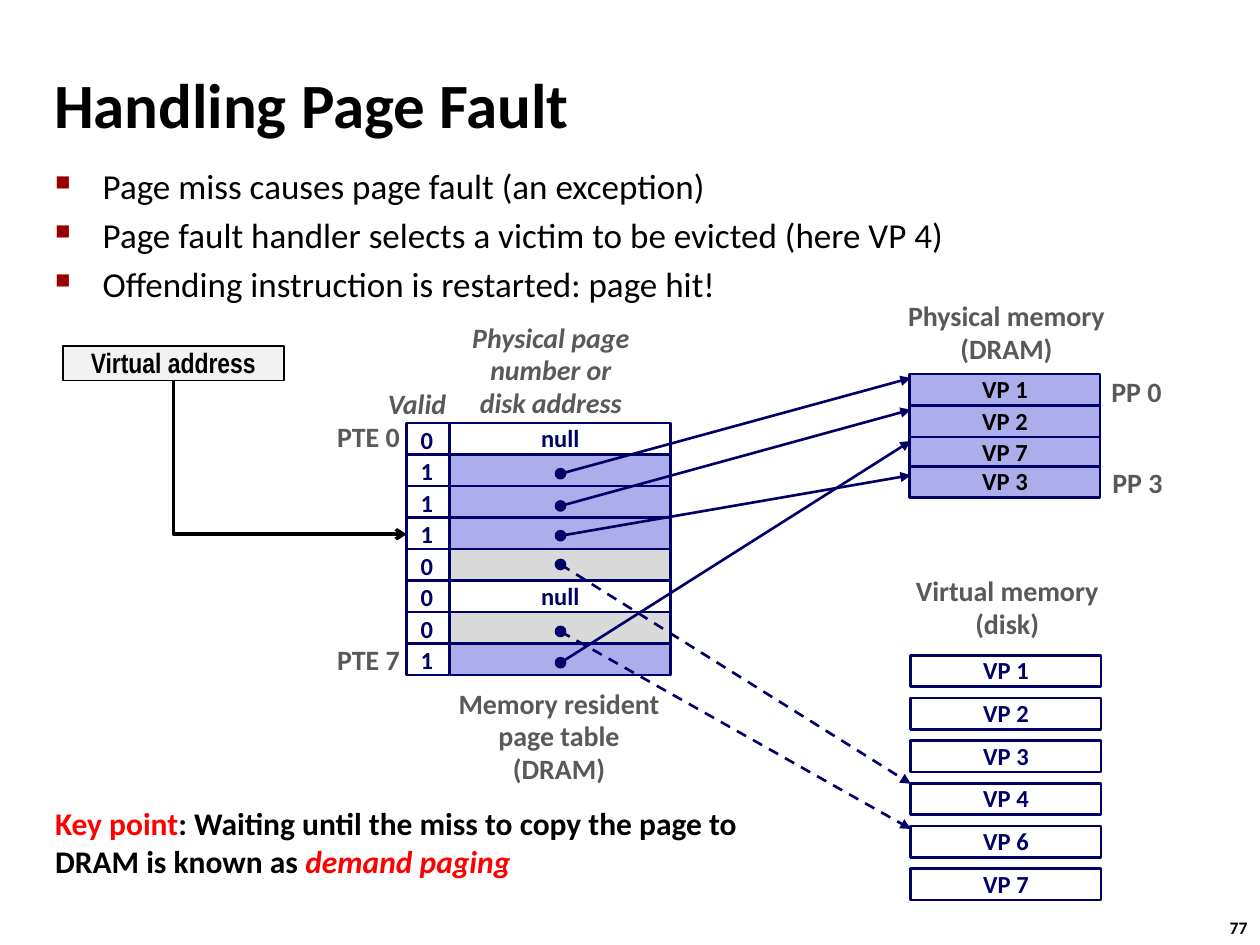
from dataclasses import dataclass, field
from typing import Optional

from lxml import etree
from pptx import Presentation
from pptx import util as u
from pptx.dml.color import RGBColor
from pptx.enum import dml, shapes, text
from pptx.oxml import ns

BLACK = RGBColor(0x00, 0x00, 0x00)
WHITE = RGBColor(0xFF, 0xFF, 0xFF)
NAVY = RGBColor(0x00, 0x00, 0x66)
LILAC = RGBColor(0xAD, 0xAD, 0xEB)
SILVER = RGBColor(0xD9, 0xD9, 0xD9)
PALE = RGBColor(0xF2, 0xF2, 0xF2)
GRAY = RGBColor(0x59, 0x59, 0x59)
RED = RGBColor(0xFF, 0x00, 0x00)
BULLET_RED = "990000"

LEFT, CENTER, RIGHT = text.PP_ALIGN.LEFT, text.PP_ALIGN.CENTER, text.PP_ALIGN.RIGHT
TOP, MIDDLE = text.MSO_ANCHOR.TOP, text.MSO_ANCHOR.MIDDLE
RECTANGLE, OVAL = shapes.MSO_SHAPE.RECTANGLE, shapes.MSO_SHAPE.OVAL

CELL_HEIGHT = 0.635
TABLE_TOP, VALID_LEFT, VALID_WIDTH, ENTRY_LEFT, ENTRY_WIDTH = 8.53, 8.2, 0.85, 9.07, 4.45
PAGE_WIDTH, DISK_LEFT, DISK_TOP, DISK_PITCH = 3.84, 18.36, 13.21, 0.86
DOT_X, DOT_SIZE = 11.3, 0.2


@dataclass(frozen=True)
class Box:
    """Left, top, width and height in centimetres."""
    left: float
    top: float
    width: float
    height: float

    def lengths(self) -> list:
        return [u.Cm(v) for v in (self.left, self.top, self.width, self.height)]


@dataclass(frozen=True)
class Style:
    size: float = 16
    color: RGBColor = GRAY
    bold: bool = True
    italic: bool = False
    name: str = "Calibri"


@dataclass(frozen=True)
class Label:
    """Lines of text, each a list of (words, style) runs."""
    box: Box
    lines: list
    align: text.PP_ALIGN = CENTER
    anchor: text.MSO_ANCHOR = TOP
    frame: dict = field(default_factory=dict)
    paragraph: dict = field(default_factory=dict)


@dataclass(frozen=True)
class Entry:
    """A page table entry; its pointer runs from dot_y to target_y."""
    valid: int
    fill: RGBColor
    dot_y: Optional[float] = None
    target_y: Optional[float] = None


GROW = {"auto_size": text.MSO_AUTO_SIZE.SHAPE_TO_FIT_TEXT}
WRAP = {"word_wrap": True}
TIGHT = {"line_spacing": 0.98}
CAPTION, SLANTED = Style(), Style(italic=True)
CELL, FRAME = Style(14, NAVY), Style(14, BLACK)
KEY = Style(18, RED)

ENTRIES = [
    Entry(0, WHITE), Entry(1, LILAC, 9.55, 7.62), Entry(1, LILAC, 10.2, 8.26),
    Entry(1, LILAC, 10.8, 9.58), Entry(0, SILVER, 11.38, 15.8), Entry(0, WHITE),
    Entry(0, SILVER, 12.73, 16.71), Entry(1, LILAC, 13.36, 8.89),
]
PHYSICAL_PAGES = [("VP 1", 7.54), ("VP 2", 8.18), ("VP 7", 8.81), ("VP 3", 9.4)]
DISK_PAGES = ["VP 1", "VP 2", "VP 3", "VP 4", "VP 6", "VP 7"]


def caption(box: Box, *lines: str, style: Style = CAPTION, **options) -> Label:
    return Label(box, [[(line, style)] for line in lines],
                 frame=GROW, paragraph=TIGHT, **options)


LABELS = [
    Label(Box(24.54, 18.36, 0.94, 0.69), [[("77", Style(10, BLACK))]], LEFT, frame=GROW),
    Label(Box(0.84, 0.99, 23.01, 2.18), [[("Handling Page Fault", Style(36, BLACK))]],
          LEFT, MIDDLE, WRAP),
    caption(Box(8.92, 13.74, 4.7, 2.26), "Memory resident", "page table", "(DRAM)"),
    caption(Box(18.03, 5.92, 4.52, 1.6), "Physical memory", "(DRAM)"),
    caption(Box(18.16, 11.48, 4.29, 1.6), "Virtual memory", "(disk)"),
    caption(Box(7.57, 7.7, 1.9, 0.94), "Valid", style=SLANTED, align=LEFT),
    caption(Box(9.25, 6.35, 3.71, 2.26), "Physical page", "number or", "disk address",
            style=SLANTED, anchor=MIDDLE),
    caption(Box(6.53, 8.36, 1.78, 0.94), "PTE 0", align=RIGHT, anchor=MIDDLE),
    caption(Box(6.53, 12.85, 1.78, 0.94), "PTE 7", align=RIGHT, anchor=MIDDLE),
    caption(Box(22.15, 7.44, 1.52, 0.94), "PP 0", anchor=MIDDLE),
    caption(Box(22.17, 9.27, 1.52, 0.94), "PP 3", anchor=MIDDLE),
    Label(Box(0.86, 16.08, 16.08, 1.8), [[
        ("Key point", KEY),
        (": Waiting until the miss to copy the page to DRAM is known as ", Style(18, BLACK)),
        ("demand paging", Style(18, RED, italic=True))]], LEFT, frame=GROW | WRAP),
]
BULLETS = Label(Box(0.86, 3.2, 23.09, 2.11), [[(line, Style(20, BLACK, bold=False))] for line in (
    "Page miss causes page fault (an exception)",
    "Page fault handler selects a victim to be evicted (here VP 4)",
    "Offending instruction is restarted: page hit!")], LEFT, frame=WRAP)


def apply(target, values: dict) -> None:
    for name, value in values.items():
        setattr(target, name, value)


def write(shape, label: Label) -> None:
    frame = shape.text_frame
    apply(frame, {"word_wrap": False, "vertical_anchor": label.anchor} | label.frame)
    for index, line in enumerate(label.lines):
        paragraph = frame.add_paragraph() if index else frame.paragraphs[0]
        apply(paragraph, {"alignment": label.align} | label.paragraph)
        for words, style in line:
            run = paragraph.add_run()
            run.text = words
            apply(run.font, {"name": style.name, "size": u.Pt(style.size),
                             "bold": style.bold, "italic": style.italic})
            run.font.color.rgb = style.color


def add_label(slide, label: Label):
    shape = slide.shapes.add_textbox(*label.box.lengths())
    write(shape, label)
    return shape


def add_bullets(slide, label: Label) -> None:
    for index, paragraph in enumerate(add_label(slide, label).text_frame.paragraphs):
        properties = paragraph._p.get_or_add_pPr()
        properties.set("marL", str(u.Cm(0.96)))
        properties.set("indent", str(-u.Cm(0.96)))
        color = etree.SubElement(properties, ns.qn("a:buClr"))
        etree.SubElement(color, ns.qn("a:srgbClr"), val=BULLET_RED)
        etree.SubElement(properties, ns.qn("a:buSzPct"), val="60000")
        etree.SubElement(properties, ns.qn("a:buChar"), char="■")
        if index:
            paragraph.space_before = u.Pt(4)


def add_block(slide, box: Box, fill: Optional[RGBColor], words: str = "", style: Style = CELL,
              kind=RECTANGLE, line: RGBColor = NAVY, width: float = 1.5) -> None:
    shape = slide.shapes.add_shape(kind, *box.lengths())
    shape.shadow.inherit = False
    if fill is None:
        shape.fill.background()
    else:
        shape.fill.solid()
        shape.fill.fore_color.rgb = fill
    shape.line.color.rgb = line
    shape.line.width = u.Pt(width)
    if words:
        write(shape, Label(box, [[(words, style)]], anchor=MIDDLE, paragraph=TIGHT))


def add_arrow(slide, start: tuple, end: tuple, color: RGBColor = NAVY, width: float = 1.5,
              head: str = "triangle", kind=shapes.MSO_CONNECTOR.STRAIGHT, dashed: bool = False):
    connector = slide.shapes.add_connector(kind, *(u.Cm(v) for v in start + end))
    connector.line.color.rgb = color
    connector.line.width = u.Pt(width)
    if dashed:
        connector.line.dash_style = dml.MSO_LINE.DASH
    etree.SubElement(connector.line._get_or_add_ln(), ns.qn("a:tailEnd"), type=head)
    etree.SubElement(connector._element.spPr, ns.qn("a:effectLst"))
    return connector


def add_address_arrow(slide, start: tuple, end: tuple) -> None:
    """Draw an arrow that runs down and then right, as a turned two-part elbow."""
    middle_x, middle_y = (start[0] + end[0]) / 2, (start[1] + end[1]) / 2
    half_width, half_height = (end[1] - start[1]) / 2, (end[0] - start[0]) / 2
    connector = add_arrow(slide, (middle_x + half_width, middle_y - half_height),
                          (middle_x - half_width, middle_y + half_height),
                          BLACK, 2, "arrow", shapes.MSO_CONNECTOR.ELBOW)
    properties = connector._element.spPr
    properties.find(ns.qn("a:xfrm")).set("rot", str(270 * 60000))
    properties.find(ns.qn("a:prstGeom")).set("prst", "bentConnector2")


def add_page_table(slide) -> None:
    for row, entry in enumerate(ENTRIES):
        top = TABLE_TOP + row * CELL_HEIGHT
        add_block(slide, Box(ENTRY_LEFT, top, ENTRY_WIDTH, CELL_HEIGHT), entry.fill,
                  "" if entry.dot_y else "null")
        add_block(slide, Box(VALID_LEFT, top, VALID_WIDTH, CELL_HEIGHT), None)
        add_label(slide, caption(Box(VALID_LEFT + 0.03, top - 0.06, 0.79, 0.84),
                                 str(entry.valid), style=CELL, align=LEFT))


def add_pointers(slide) -> None:
    for entry in ENTRIES:
        if entry.dot_y:
            add_block(slide, Box(DOT_X - DOT_SIZE / 2, entry.dot_y - DOT_SIZE / 2,
                                 DOT_SIZE, DOT_SIZE), NAVY, kind=OVAL, width=1)
            add_arrow(slide, (DOT_X, entry.dot_y), (DISK_LEFT, entry.target_y),
                      dashed=not entry.valid)


def main() -> None:
    presentation = Presentation()
    presentation.slide_width, presentation.slide_height = u.Cm(25.4), u.Cm(19.05)
    slide = presentation.slides.add_slide(presentation.slide_layouts[6])
    add_page_table(slide)
    for page, top in PHYSICAL_PAGES:
        add_block(slide, Box(18.34, top, PAGE_WIDTH, CELL_HEIGHT), LILAC, page, FRAME)
    for index, page in enumerate(DISK_PAGES):
        add_block(slide, Box(DISK_LEFT, DISK_TOP + index * DISK_PITCH, PAGE_WIDTH, CELL_HEIGHT),
                  WHITE, page)
    add_pointers(slide)
    add_block(slide, Box(1.27, 6.98, 4.45, 0.69), PALE, "Virtual address",
              Style(16, BLACK, name="Arial Narrow"), line=BLACK, width=1)
    add_address_arrow(slide, (3.5, 7.67), (8.2, 10.77))
    for label in LABELS:
        add_label(slide, label)
    add_bullets(slide, BULLETS)
    presentation.save("out.pptx")


if __name__ == "__main__":
    main()
